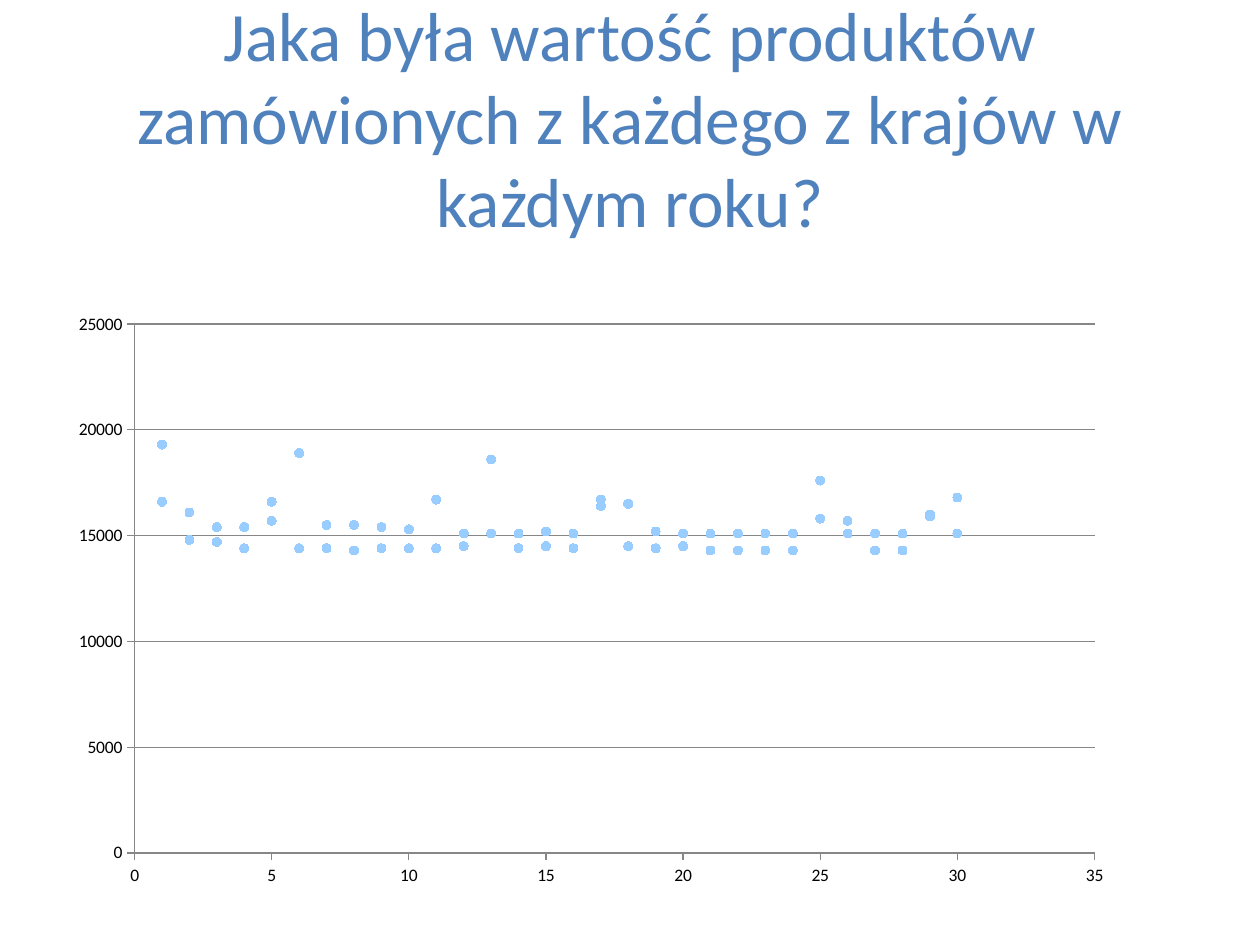
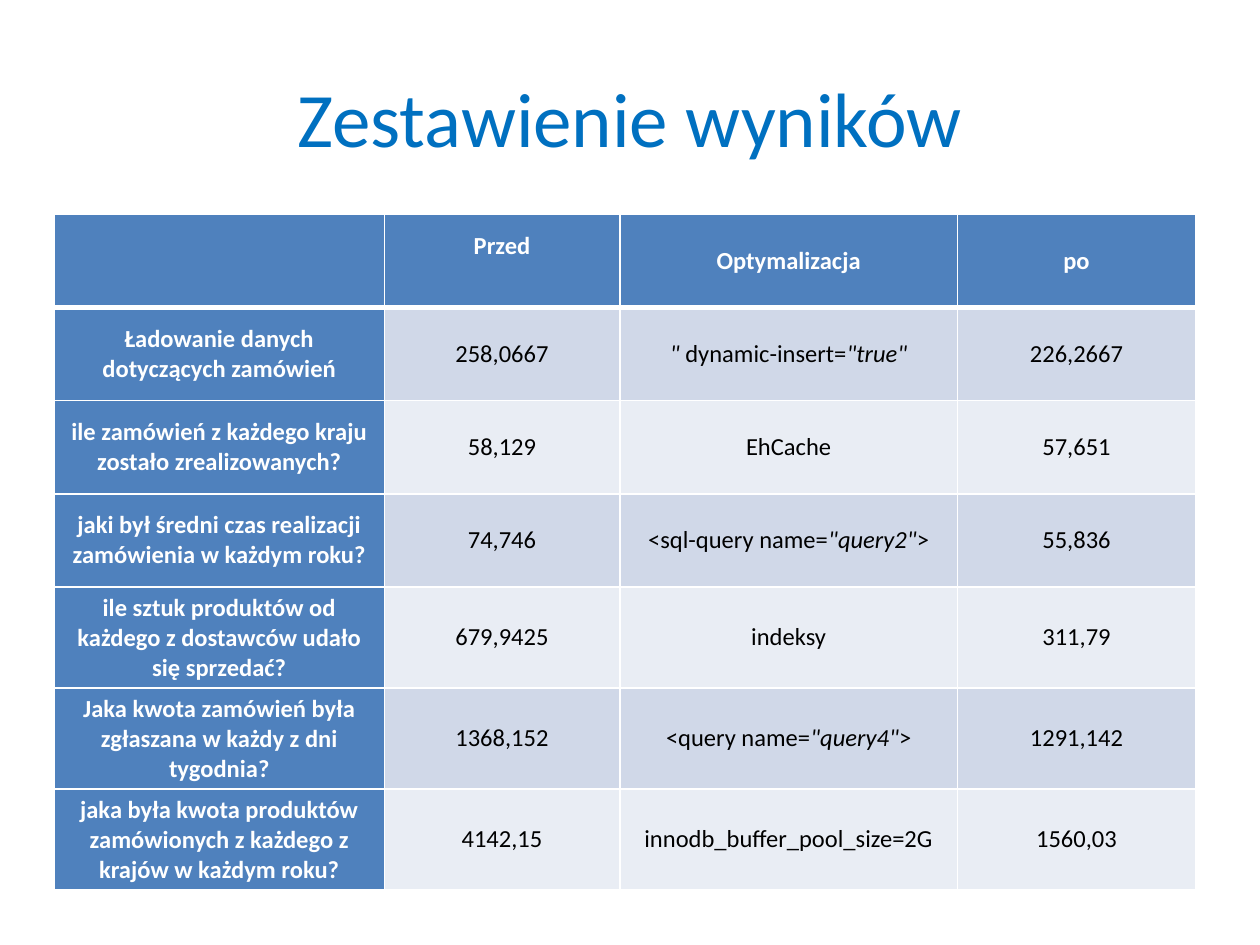
from collections import namedtuple

from lxml.etree import SubElement
from pptx import Presentation
from pptx.chart.data import XyChartData
from pptx.dml.color import RGBColor
from pptx.enum.chart import XL_CHART_TYPE, XL_MARKER_STYLE, XL_TICK_MARK
from pptx.enum.text import MSO_ANCHOR, PP_ALIGN
from pptx.oxml.ns import qn
from pptx.util import Inches, Pt

WHITE = RGBColor(0xFF, 0xFF, 0xFF)
BLACK = RGBColor(0x00, 0x00, 0x00)
GRAY = RGBColor(0x87, 0x87, 0x87)
STEEL_BLUE = RGBColor(0x4F, 0x81, 0xBD)
BRIGHT_BLUE = RGBColor(0x00, 0x70, 0xC0)
POINT_BLUE = RGBColor(0x99, 0xCC, 0xFF)
BAND_COLORS = (RGBColor(0xD0, 0xD8, 0xE8), RGBColor(0xE9, 0xED, 0xF4))
FONT = "Calibri"

Box = namedtuple("Box", "left top width height")
TITLE_BOX = Box(0.5, 0.3, 9, 1.25)
CHART_BOX = Box(0.28, 2.18, 9.06, 5.04)
TABLE_BOX = Box(0.43, 1.7, 9.06, 5.18)
PLOT_AREA = Box(0.087, 0.078, 0.841, 0.833)

ORDER_VALUES = {
    "Series 1": [
        19300, 16100, 15400, 15400, 15700, 18900, 15500, 15500, 15400, 15300,
        16700, 15100, 15100, 15100, 15200, 15100, 16400, 16500, 15200, 15100,
        15100, 15100, 15100, 15100, 17600, 15100, 15100, 15100, 15900, 15100,
    ],
    "Series 2": [
        16600, 14800, 14700, 14400, 16600, 14400, 14400, 14300, 14400, 14400,
        14400, 14500, 18600, 14400, 14500, 14400, 16700, 14500, 14400, 14500,
        14300, 14300, 14300, 14300, 15800, 15700, 14300, 14300, 16000, 16800,
    ],
}

COLUMN_WIDTHS = (2.62, 1.87, 2.68, 1.89)
HEADERS = ("", "Przed", "Optymalizacja", "po")
RESULTS = [
    ("Ładowanie danych dotyczących zamówień", "258,0667",
     ('"', " dynamic-insert=", '"true"'), "226,2667"),
    ("ile zamówień z każdego kraju zostało zrealizowanych?", "58,129",
     "EhCache", "57,651"),
    ("jaki był średni czas realizacji zamówienia w każdym roku?", "74,746",
     ("<sql-query name=", '"query2"', ">"), "55,836"),
    ("ile sztuk produktów od każdego z dostawców udało się sprzedać?",
     "679,9425", "indeksy", "311,79"),
    ("Jaka kwota zamówień była zgłaszana w każdy z dni tygodnia?",
     "1368,152", ("<query name=", '"query4"', ">"), "1291,142"),
    ("jaka była kwota produktów zamówionych z każdego z krajów w każdym roku?",
     "4142,15", "innodb_buffer_pool_size=2G", "1560,03"),
]


def to_inches(box):
    """Return the four lengths of a box in inches."""
    return [Inches(length) for length in box]


def style_font(font, size, color, bold=False):
    """Apply the deck font with a size, colour and weight."""
    font.name = FONT
    font.size = Pt(size)
    font.bold = bold
    font.color.rgb = color


def add_title(page, box, text, size, color):
    """Write a centred title in the given box."""
    frame = page.shapes.add_textbox(*to_inches(box)).text_frame
    frame.word_wrap = True
    frame.vertical_anchor = MSO_ANCHOR.MIDDLE
    para = frame.paragraphs[0]
    para.text = text
    para.alignment = PP_ALIGN.CENTER
    style_font(para.font, size, color)


def place_plot(chart, area):
    """Fix the inner plot area as fractions of the chart."""
    plot_area = chart.element.find(".//" + qn("c:plotArea"))
    for layout in plot_area.findall(qn("c:layout")):
        plot_area.remove(layout)
    layout = SubElement(plot_area, qn("c:layout"))
    plot_area.insert(0, layout)
    manual = SubElement(layout, qn("c:manualLayout"))
    settings = [("layoutTarget", "inner"), ("xMode", "edge"), ("yMode", "edge")]
    settings += zip("xywh", area)
    for name, value in settings:
        SubElement(manual, qn("c:" + name)).set("val", str(value))


def style_axis(axis, maximum, step, gridlines):
    """Set the scale, ticks and lines of one axis."""
    axis.minimum_scale = 0
    axis.maximum_scale = maximum
    axis.major_unit = step
    axis.major_tick_mark = XL_TICK_MARK.OUTSIDE
    axis.minor_tick_mark = XL_TICK_MARK.NONE
    axis.tick_labels.number_format = "General"
    axis.tick_labels.number_format_is_linked = False
    axis.format.line.color.rgb = GRAY
    axis.has_major_gridlines = gridlines
    if gridlines:
        axis.major_gridlines.format.line.color.rgb = GRAY


def add_order_chart(page, box):
    """Plot the order values as a scatter chart in the given box."""
    chart_data = XyChartData()
    for name, values in ORDER_VALUES.items():
        series = chart_data.add_series(name)
        for number, value in enumerate(values, start=1):
            series.add_data_point(number, value)
    chart = page.shapes.add_chart(
        XL_CHART_TYPE.XY_SCATTER, *to_inches(box), chart_data
    ).chart
    chart.has_title = False
    chart.has_legend = False
    style_font(chart.font, 10, BLACK)
    style_axis(chart.category_axis, 35, 5, gridlines=False)
    style_axis(chart.value_axis, 25000, 5000, gridlines=True)
    place_plot(chart, PLOT_AREA)
    plot = chart.plots[0]
    plot.vary_by_categories = False
    for series in plot.series:
        series.format.line.fill.background()
        series.marker.style = XL_MARKER_STYLE.CIRCLE
        series.marker.size = 5
        series.marker.format.fill.solid()
        series.marker.format.fill.fore_color.rgb = POINT_BLUE
        series.marker.format.line.fill.background()


def add_borders(cell, top, bottom):
    """Draw white cell borders with the given top and bottom widths."""
    properties = cell._tc.get_or_add_tcPr()
    for place, (side, width) in enumerate(
        [("L", 1), ("R", 1), ("T", top), ("B", bottom)]
    ):
        line = SubElement(properties, qn("a:ln" + side), w=str(Pt(width)))
        properties.insert(place, line)
        fill = SubElement(line, qn("a:solidFill"))
        SubElement(fill, qn("a:srgbClr"), val=str(WHITE))


def fill_cell(cell, content, fill, color, bold):
    """Write centred text, with quoted code in italics, on a filled cell."""
    cell.fill.solid()
    cell.fill.fore_color.rgb = fill
    cell.vertical_anchor = MSO_ANCHOR.MIDDLE
    para = cell.text_frame.paragraphs[0]
    para.alignment = PP_ALIGN.CENTER
    style_font(para.font, 14, color, bold)
    for text in [content] if isinstance(content, str) else content:
        if text:
            span = para.add_run()
            span.text = text
            span.font.italic = text.startswith('"')


def add_results_table(page, box):
    """Build the table of times before and after optimisation."""
    rows = [HEADERS, *RESULTS]
    table = page.shapes.add_table(
        len(rows), len(HEADERS), *to_inches(box)
    ).table
    for column, width in zip(table.columns, COLUMN_WIDTHS):
        column.width = Inches(width)
    for row_number, row in enumerate(rows):
        table.rows[row_number].height = Inches(box.height / len(rows))
        for column_number, content in enumerate(row):
            cell = table.cell(row_number, column_number)
            if row_number == 0 or column_number == 0:
                fill_cell(cell, content, STEEL_BLUE, WHITE, True)
            else:
                band = BAND_COLORS[(row_number - 1) % 2]
                fill_cell(cell, content, band, BLACK, False)
            add_borders(
                cell,
                top=3 if row_number == 1 else 1,
                bottom=3 if row_number == 0 else 1,
            )
    table.cell(0, 1).margin_bottom = Inches(0.29)


def build_chart_slide(page):
    """Fill the slide about order values by country and year."""
    question = (
        "Jaka była wartość produktów zamówionych z każdego z krajów "
        "w każdym roku?"
    )
    add_title(page, TITLE_BOX, question, 39.6, STEEL_BLUE)
    add_order_chart(page, CHART_BOX)


def build_results_slide(page):
    """Fill the slide that sums up the results."""
    add_title(page, TITLE_BOX, "Zestawienie wyników", 44, BRIGHT_BLUE)
    add_results_table(page, TABLE_BOX)


def main():
    """Build and save the deck."""
    deck = Presentation()
    deck.slide_width = Inches(10)
    deck.slide_height = Inches(7.5)
    for build_slide in (build_chart_slide, build_results_slide):
        build_slide(deck.slides.add_slide(deck.slide_layouts[6]))
    deck.save("out.pptx")


if __name__ == "__main__":
    main()
